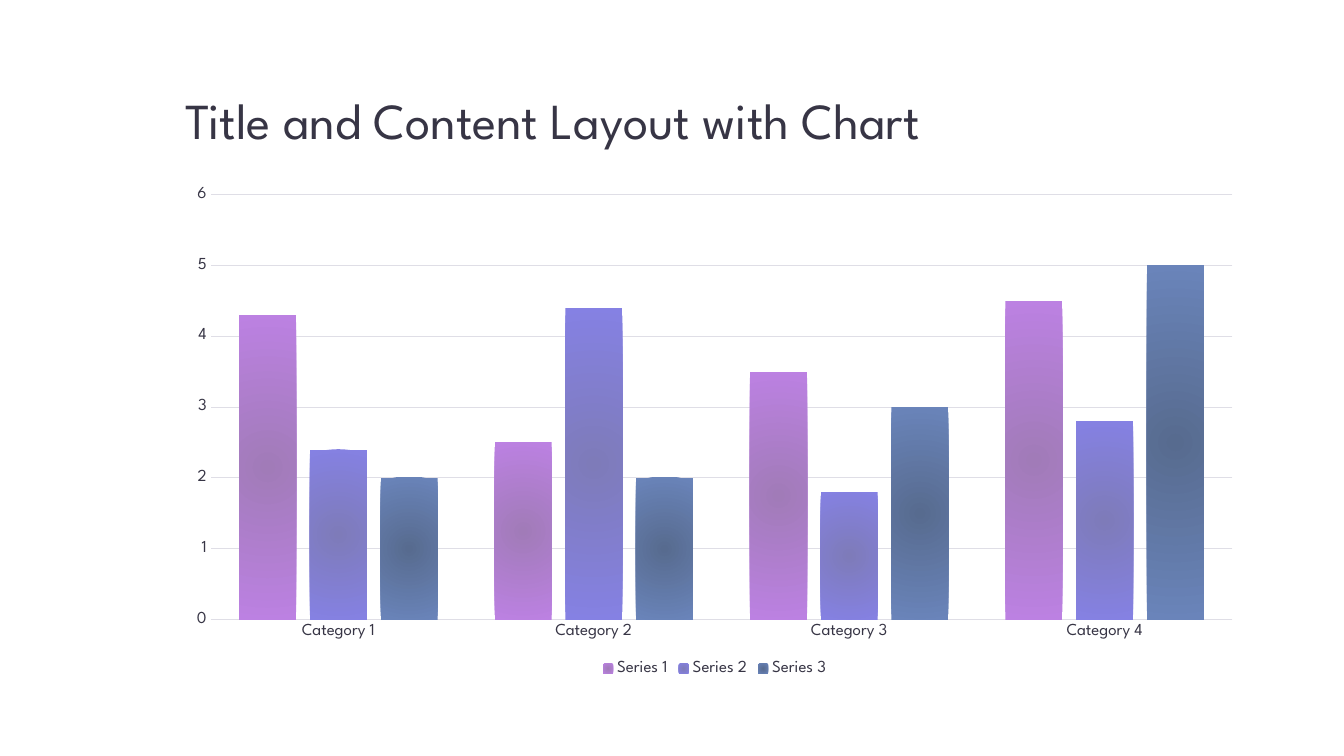
from lxml import etree
from pptx import Presentation
from pptx import util as u
from pptx.chart.data import CategoryChartData
from pptx.dml.color import RGBColor
from pptx.enum import chart as ch, text
from pptx.oxml.ns import qn

# Content
TITLE = "Title and Content Layout with Chart"
CATEGORIES = ["Category 1", "Category 2", "Category 3", "Category 4"]
SERIES = [  # name, values, centre colour, edge colour
    ("Series 1", (4.3, 2.5, 3.5, 4.5), "A17BB8", "BC81E2"),
    ("Series 2", (2.4, 4.4, 1.8, 2.8), "7E7BB9", "8581E3"),
    ("Series 3", (2, 2, 3, 5), "576B8F", "6A84BA"),
]
FONT, INK, GRID = "League Spartan", "373545", "DFDEE6"
LEFT, WIDTH = 4.42, 27.18


def rgb(value):
    return RGBColor.from_string(value)


def set_attrs(obj, **values):
    for name, value in values.items():
        setattr(obj, name, value)


def set_font(font, size):
    set_attrs(font, name=FONT, size=u.Pt(size), bold=False)
    font.color.rgb = rgb(INK)


def set_line(line):
    line.color.rgb = rgb(GRID)
    line.width = u.Pt(0.75)


def radial_fill(series, centre, edge):
    fill = series.format.fill
    fill.gradient()
    for stop, color in zip(fill.gradient_stops, (centre, edge)):
        stop.color.rgb = rgb(color)
    grad = series._element.find(".//" + qn("a:gradFill"))
    grad.remove(grad.find(qn("a:lin")))
    circle = etree.SubElement(grad, qn("a:path"), path="circle")
    etree.SubElement(circle, qn("a:fillToRect"),
                     {side: "100000" for side in "ltrb"})


prs = Presentation()
set_attrs(prs, slide_width=u.Cm(33.87), slide_height=u.Cm(19.05))
s = prs.slides.add_slide(prs.slide_layouts[5])

# Title
title = s.shapes.title
set_attrs(title, left=u.Cm(LEFT), top=u.Cm(0.48),
          width=u.Cm(WIDTH), height=u.Cm(3.45))
tf = title.text_frame
tf.text = TITLE
set_attrs(tf, vertical_anchor=text.MSO_ANCHOR.BOTTOM, word_wrap=True,
          auto_size=text.MSO_AUTO_SIZE.NONE)
p = tf.paragraphs[0]
set_attrs(p, alignment=text.PP_ALIGN.LEFT, line_spacing=0.9)
set_font(p.runs[0].font, 36)

# Chart
data = CategoryChartData()
data.categories = CATEGORIES
for name, values, *_ in SERIES:
    data.add_series(name, values)
chart = s.shapes.add_chart(
    ch.XL_CHART_TYPE.COLUMN_CLUSTERED,
    u.Cm(LEFT), u.Cm(4.45), u.Cm(WIDTH), u.Cm(12.7), data).chart
set_attrs(chart, has_title=False, has_legend=True)
set_font(chart.font, 12)
set_attrs(chart.legend, position=ch.XL_LEGEND_POSITION.BOTTOM,
          include_in_layout=False)
set_font(chart.legend.font, 12)

# Columns
plot = chart.plots[0]
set_attrs(plot, gap_width=100, overlap=-24, vary_by_categories=False)
for series, (_, _, centre, edge) in zip(plot.series, SERIES):
    radial_fill(series, centre, edge)

# Axes
for axis in (chart.category_axis, chart.value_axis):
    set_attrs(axis, major_tick_mark=ch.XL_TICK_MARK.NONE,
              minor_tick_mark=ch.XL_TICK_MARK.NONE)
    set_font(axis.tick_labels.font, 12)
set_line(chart.category_axis.format.line)
value_axis = chart.value_axis
set_attrs(value_axis, minimum_scale=0, maximum_scale=6, major_unit=1,
          has_major_gridlines=True)
set_line(value_axis.major_gridlines.format.line)
value_axis.format.line.fill.background()

prs.save("out.pptx")
